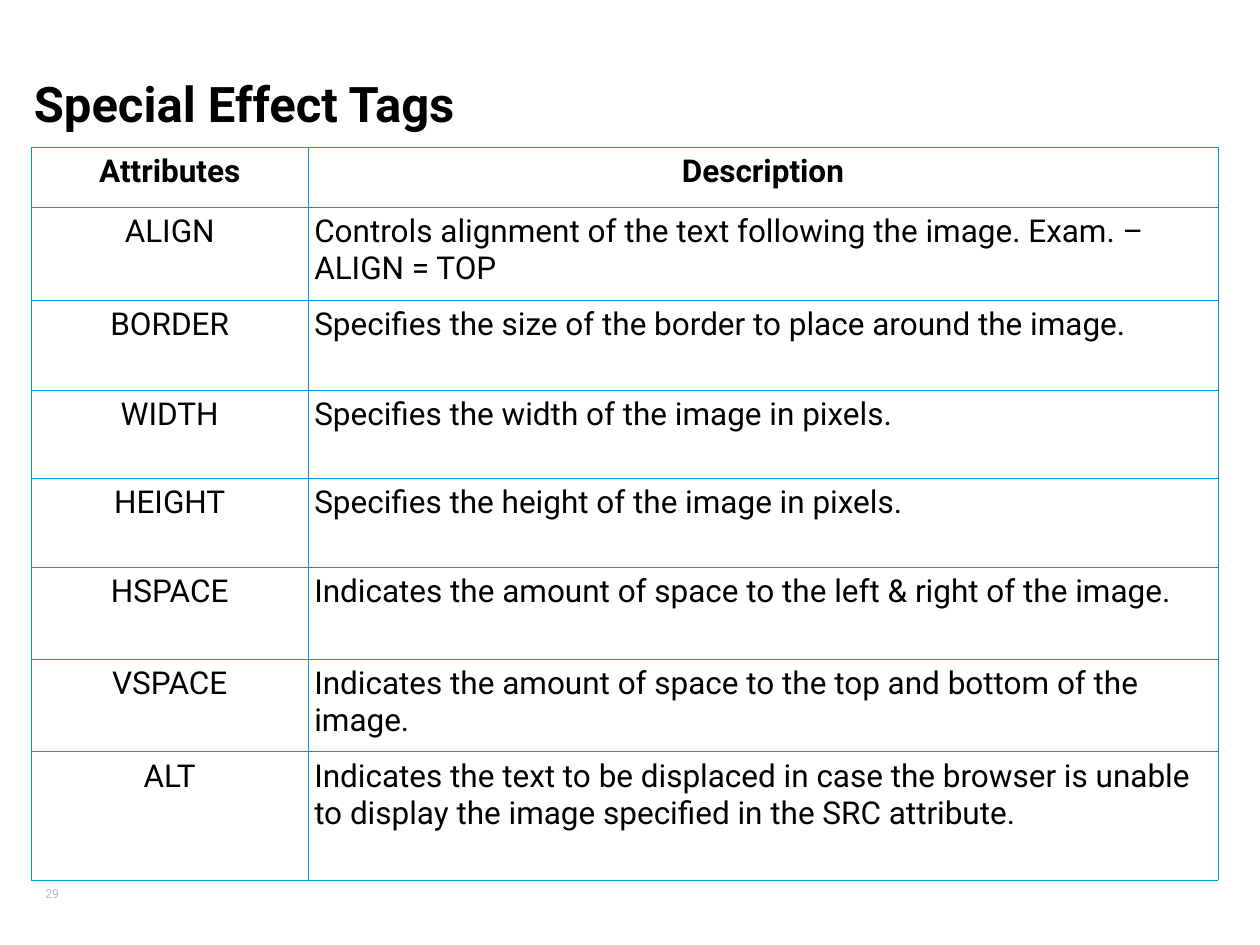
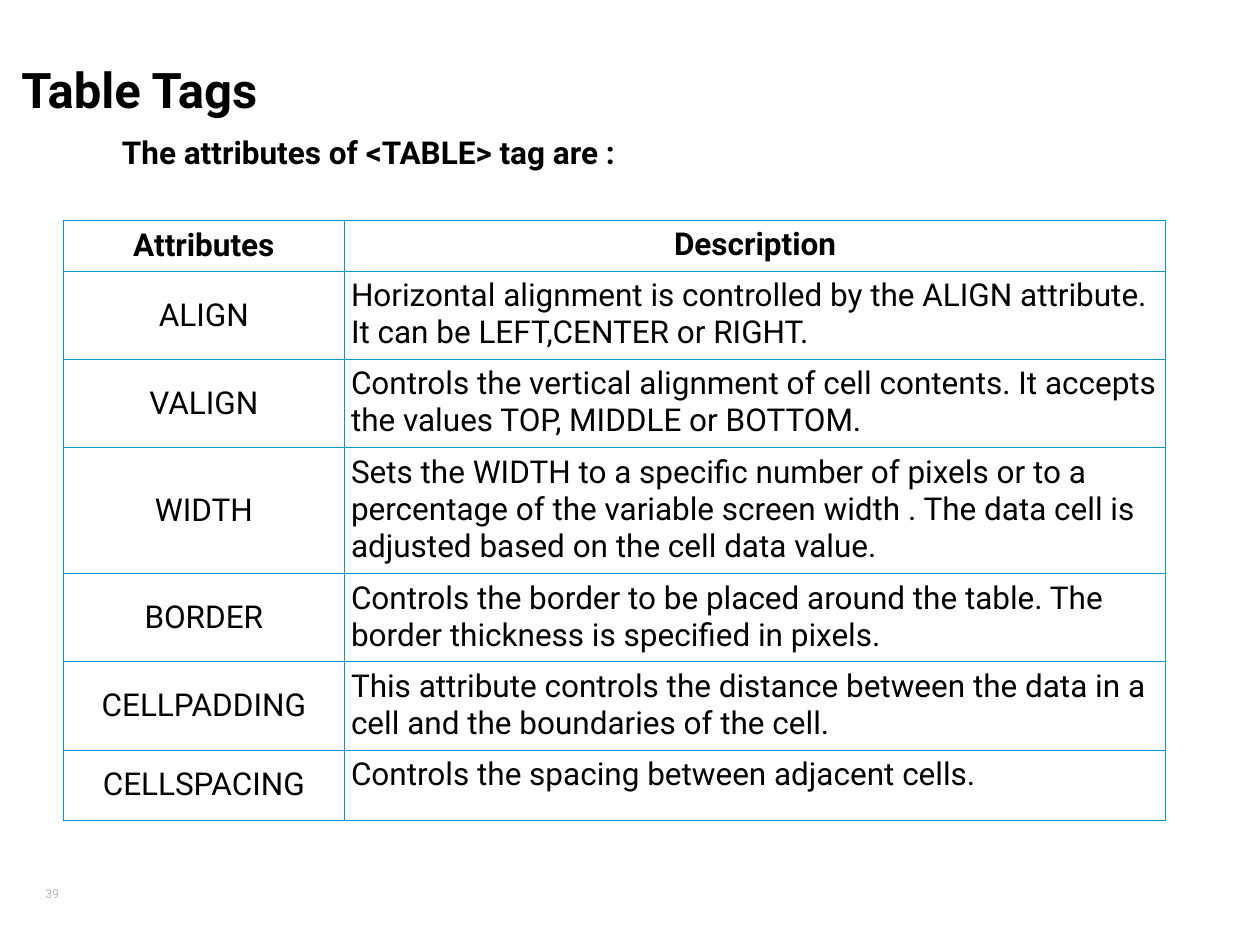
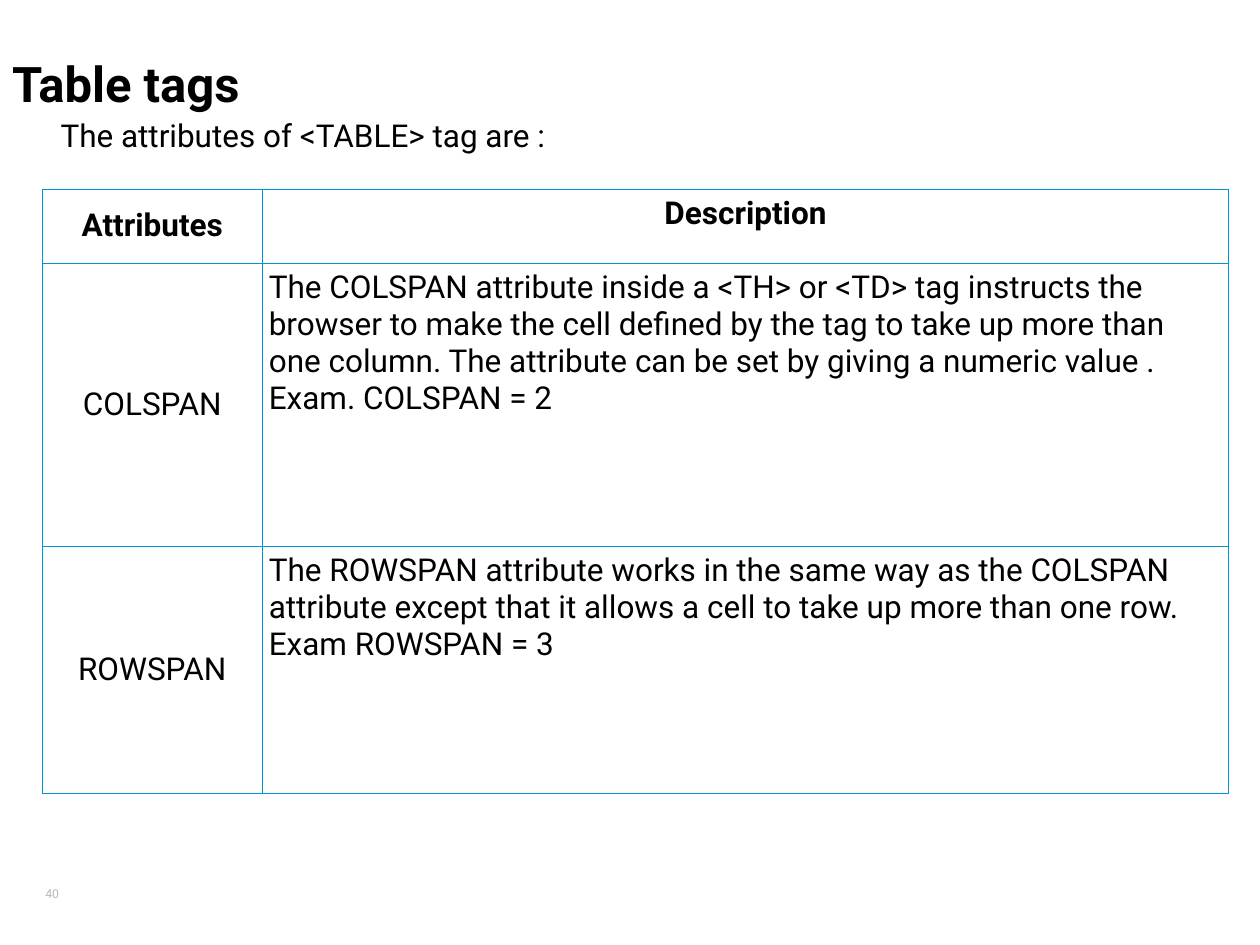
"""Build three slides of HTML attribute tables."""
from lxml import etree
from pptx import Presentation
from pptx.dml.color import RGBColor
from pptx.enum import text
from pptx.oxml import ns
from pptx.util import Pt

FONT, BLACK, GREY, BLUE = "Roboto", "000000", "B9B8BB", "0096D6"
TOP, MIDDLE = text.MSO_ANCHOR.TOP, text.MSO_ANCHOR.MIDDLE
LEFT, CENTER = text.PP_ALIGN.LEFT, text.PP_ALIGN.CENTER
SUBTITLE = "The attributes of <TABLE> tag are :"


def write(tf, content, size, color=BLACK, bold=False, align=LEFT):
    p = tf.paragraphs[0]
    p.alignment = align
    r = p.add_run()
    r.text = content
    r.font.name, r.font.size, r.font.bold = FONT, Pt(size), bold
    r.font.color.rgb = RGBColor.from_string(color)
    return p


def frame(tf, anchor, left, top, right, bottom, wrap=True):
    tf.auto_size = text.MSO_AUTO_SIZE.NONE
    tf.vertical_anchor, tf.word_wrap = anchor, wrap
    tf.margin_left, tf.margin_top = Pt(left), Pt(top)
    tf.margin_right, tf.margin_bottom = Pt(right), Pt(bottom)


slides = [
    dict(number="29", title="Special Effect Tags", title_box=(12.2, 41.8, 648, 48.2),
         title_anchor=TOP, title_inset=7.2, subtitle=None, label_anchor=TOP,
         table_at=(18, 84.2), cols=(158, 520),
         rows=[(34.4, "Attributes", "Description"),
               (53, "ALIGN", "Controls alignment of the text following the image. Exam. – ALIGN = TOP"),
               (51.3, "BORDER", "Specifies the size of the border to place around the image."),
               (50.5, "WIDTH", "Specifies the width of the image in pixels."),
               (50.7, "HEIGHT", "Specifies the height of the image in pixels."),
               (52.6, "HSPACE", "Indicates the amount of space to the left & right of the image."),
               (53, "VSPACE", "Indicates the amount of space to the top and bottom of the image."),
               (73.3, "ALT", "Indicates the text to be displaced in case the browser is unable "
                             "to display the image specified in the SRC attribute.")]),
    dict(number="39", title="Table Tags", title_box=(12.2, 23.8, 342, 54),
         title_anchor=MIDDLE, title_inset=0, label_anchor=MIDDLE,
         subtitle=((62.6, 72.7, 324.7, 28.8), 7.2, True),
         table_at=(36, 126), cols=(161, 469),
         rows=[(29, "Attributes", "Description"),
               (50.4, "ALIGN", "Horizontal alignment is controlled by the ALIGN attribute. "
                               "It can be LEFT,CENTER or RIGHT."),
               (50.4, "VALIGN", "Controls the vertical alignment of cell contents. "
                                "It accepts the values TOP, MIDDLE or BOTTOM."),
               (72, "WIDTH", "Sets the WIDTH to a specific number of pixels or to a percentage of the "
                             "variable screen width . The data cell is adjusted based on the cell data value."),
               (50.4, "BORDER", "Controls the border to be placed around the table. "
                                "The border thickness is specified in pixels."),
               (50.4, "CELLPADDING", "This attribute controls the distance between the data in a cell "
                                     "and the boundaries of the cell."),
               (40.3, "CELLSPACING", "Controls the spacing between adjacent cells.")]),
    dict(number="40", title="Table tags", title_box=(0, 17.3, 654, 59.8),
         title_anchor=MIDDLE, title_inset=6.9, label_anchor=MIDDLE,
         subtitle=((31, 62.6, 585.4, 28.8), 3.6, False),
         table_at=(24, 108), cols=(126, 552),
         rows=[(42.5, "Attributes", "Description"),
               (161.5, "COLSPAN", "The COLSPAN attribute inside a <TH> or <TD> tag instructs the browser to "
                                  "make the cell defined by the tag to take up more than one column. The "
                                  "attribute can be set by giving a numeric value . Exam. COLSPAN = 2"),
               (141.2, "ROWSPAN", "The ROWSPAN attribute works in the same way as the COLSPAN attribute except "
                                  "that it allows a cell to take up more than one row. Exam ROWSPAN = 3")]),
]

prs = Presentation()
prs.slide_width, prs.slide_height = Pt(720), Pt(540)

for d in slides:
    s = prs.slides.add_slide(prs.slide_layouts[5])

    title = s.shapes.title
    title.left, title.top, title.width, title.height = map(Pt, d["title_box"])
    frame(title.text_frame, d["title_anchor"], d["title_inset"], 0, 0, 0)
    write(title.text_frame, d["title"], 28, bold=True)

    number = s.shapes.add_textbox(Pt(25.9), Pt(502.6), Pt(25.2), Pt(15.8))
    frame(number.text_frame, MIDDLE, 0, 3.6, 7.2, 3.6, wrap=False)
    write(number.text_frame, d["number"], 7, GREY)

    if d["subtitle"]:
        box, inset, bold = d["subtitle"]
        sp = s.shapes.add_textbox(*map(Pt, box))
        frame(sp.text_frame, TOP, inset, 3.6, inset, 3.6)
        write(sp.text_frame, SUBTITLE, 18, bold=bold)

    rows, cols = d["rows"], d["cols"]
    height = sum(row[0] for row in rows)
    table = s.shapes.add_table(len(rows), len(cols), *map(Pt, d["table_at"]),
                               Pt(sum(cols)), Pt(height)).table
    table.first_row = table.horz_banding = False
    for c, width in enumerate(cols):
        table.columns[c].width = Pt(width)
    for i, (row_height, *contents) in enumerate(rows):
        table.rows[i].height = Pt(row_height)
        for c, content in enumerate(contents):
            cell = table.cell(i, c)
            cell.margin_left = cell.margin_right = Pt(3.6)
            cell.margin_top = cell.margin_bottom = Pt(3.6)
            cell.vertical_anchor = d["label_anchor"] if c == 0 else TOP
            align = CENTER if i == 0 or c == 0 else LEFT
            p = write(cell.text_frame, content, 18, bold=i == 0, align=align)
            p.space_after = Pt(5.6)
            tcPr = cell._tc.get_or_add_tcPr()
            for side in ("lnL", "lnR", "lnT", "lnB"):
                ln = etree.SubElement(tcPr, ns.qn("a:" + side), w=str(Pt(0.45)))
                fill = etree.SubElement(ln, ns.qn("a:solidFill"))
                etree.SubElement(fill, ns.qn("a:srgbClr"), val=BLUE)
            cell.fill.background()

prs.save("out.pptx")
